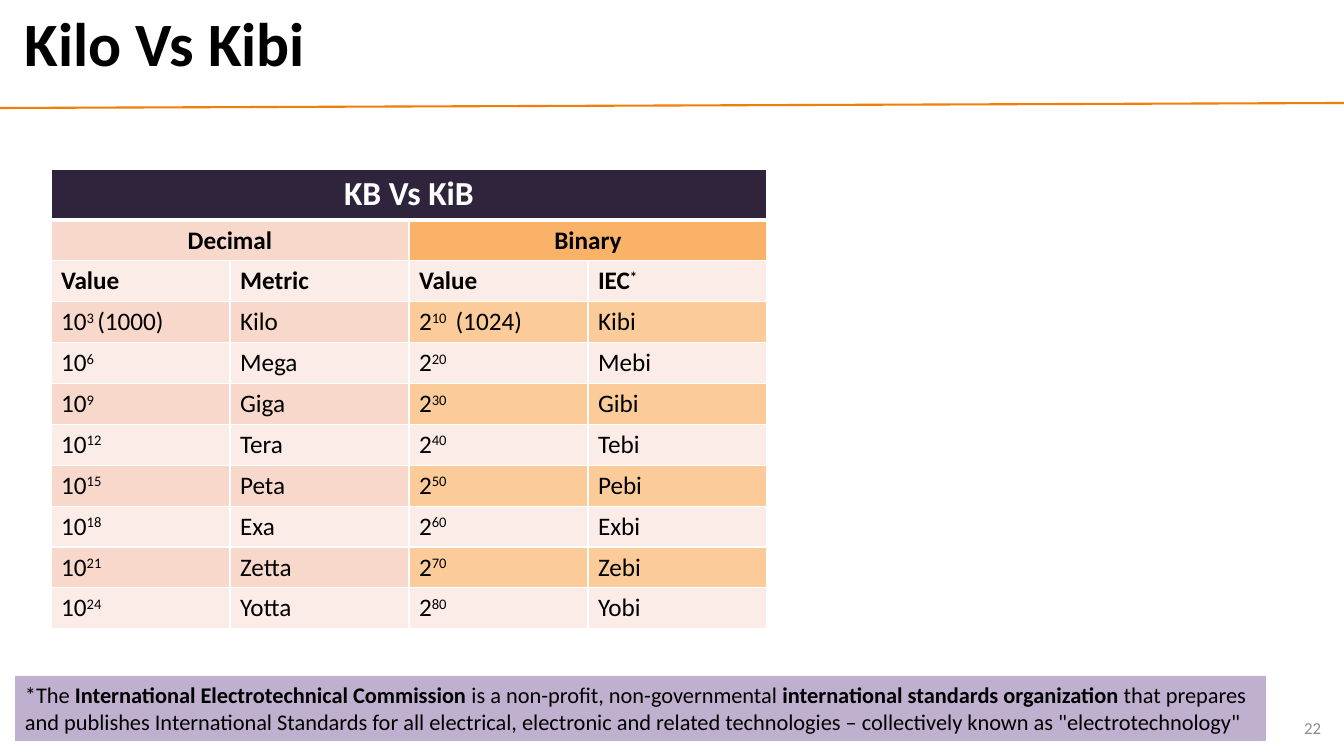
from dataclasses import dataclass

from lxml import etree
from pptx import Presentation
from pptx.dml.color import RGBColor
from pptx.enum.shapes import MSO_CONNECTOR, MSO_SHAPE
from pptx.enum.text import MSO_ANCHOR, PP_ALIGN
from pptx.oxml.ns import qn
from pptx.util import Pt

STRAIGHT = MSO_CONNECTOR.STRAIGHT
RECTANGLE = MSO_SHAPE.RECTANGLE
MIDDLE, TOP = MSO_ANCHOR.MIDDLE, MSO_ANCHOR.TOP
LEFT, CENTER, RIGHT = PP_ALIGN.LEFT, PP_ALIGN.CENTER, PP_ALIGN.RIGHT

EMU_PER_PX = 914400 / 100.8
SLIDE_WIDTH, SLIDE_HEIGHT = 1344, 756


@dataclass(frozen=True)
class Theme:
    font: str = "Calibri"
    black: str = "000000"
    white: str = "FFFFFF"
    grey: str = "8C8C8C"
    rule: str = "F07F09"
    heading_fill: str = "30243C"
    pale: str = "FCECE7"
    decimal: str = "F9D8CC"
    binary: str = "FBCC9A"
    binary_heading: str = "F9B268"
    note_fill: str = "BFB0CF"
    title_size: int = 44
    heading_size: int = 24
    cell_size: int = 18
    note_size: int = 16
    number_size: int = 12


THEME = Theme()

# Power of ten, metric prefix, power of two, IEC prefix
PREFIXES = [
    (3 * step, metric, 10 * step, iec)
    for step, (metric, iec) in enumerate(
        [("Kilo", "Kibi"), ("Mega", "Mebi"), ("Giga", "Gibi"), ("Tera", "Tebi"),
         ("Peta", "Pebi"), ("Exa", "Exbi"), ("Zetta", "Zebi"), ("Yotta", "Yobi")],
        start=1,
    )
]

NOTE_RUNS = [
    ("*The ", False),
    ("International Electrotechnical Commission ", True),
    ("is a non-profit, non-governmental ", False),
    ("international standards organization", True),
    (" that prepares and publishes International Standards for all electrical, "
     "electronic and related technologies – collectively known as "
     "\"electrotechnology\"", False),
]


def px(*lengths):
    return [round(length * EMU_PER_PX) for length in lengths]


def color(value):
    return RGBColor.from_string(value)


def style_paragraph(paragraph, size, ink, bold=None, align=LEFT):
    paragraph.alignment = align
    font = paragraph.font
    font.name, font.size, font.bold = THEME.font, Pt(size), bold
    font.color.rgb = color(ink)


def add_label(slide, box, text, size, ink, bold=False, align=LEFT):
    frame = slide.shapes.add_textbox(*px(*box)).text_frame
    frame.word_wrap = True
    frame.vertical_anchor = MIDDLE
    paragraph = frame.paragraphs[0]
    paragraph.text = text
    paragraph.line_spacing = 0.9
    style_paragraph(paragraph, size, ink, bold, align)


def add_rule(slide, start, end):
    line = slide.shapes.add_connector(STRAIGHT, *px(*start, *end))
    line.line.color.rgb = color(THEME.rule)
    line.line.width = Pt(1.5)
    etree.SubElement(line._element.spPr, qn("a:effectLst"))


def set_borders(cell, top=1, bottom=1):
    """Draw white borders, with widths in points; call before setting the fill."""
    properties = cell._tc.get_or_add_tcPr()
    for side, width in (("L", 1), ("R", 1), ("T", top), ("B", bottom)):
        border = etree.SubElement(properties, qn(f"a:ln{side}"), w=str(Pt(width)))
        fill = etree.SubElement(border, qn("a:solidFill"))
        etree.SubElement(fill, qn("a:srgbClr"), val=THEME.white)


def fill_cell(cell, runs, fill, size=THEME.cell_size, ink=THEME.black,
              bold=False, align=LEFT):
    """Write (text, is_superscript) runs into a cell and colour it."""
    cell.fill.solid()
    cell.fill.fore_color.rgb = color(fill)
    cell.vertical_anchor = TOP
    paragraph = cell.text_frame.paragraphs[0]
    for text, superscript in runs:
        run = paragraph.add_run()
        run.text = text
        if superscript:
            run.font._element.set("baseline", "30000")
    style_paragraph(paragraph, size, ink, bold, align)


def power(base, exponent, plain=""):
    runs = [(base, False), (f"{exponent} " if plain else str(exponent), True)]
    return runs + [(plain, False)] if plain else runs


def add_prefix_table(slide, box, heading_height):
    left, top, width, height = box
    row_count, column_count = len(PREFIXES) + 3, 4
    table = slide.shapes.add_table(row_count, column_count, *px(*box)).table
    table.first_row = table.horz_banding = False
    row_height = (height - heading_height) / (row_count - 1)
    for index, row in enumerate(table.rows):
        row.height = px(row_height if index else heading_height)[0]
        for cell in row.cells:
            set_borders(cell, top=3 if index == 1 else 1, bottom=1 if index else 3)
    for column in table.columns:
        column.width = px(width / column_count)[0]

    table.cell(0, 0).merge(table.cell(0, 3))
    fill_cell(table.cell(0, 0), [("KB Vs KiB", False)], THEME.heading_fill,
              THEME.heading_size, THEME.white, True, CENTER)
    for column, text, fill in ((0, "Decimal", THEME.decimal),
                               (2, "Binary", THEME.binary_heading)):
        table.cell(1, column).merge(table.cell(1, column + 1))
        fill_cell(table.cell(1, column), [(text, False)], fill, bold=True, align=CENTER)

    names = ([("Value", False)], [("Metric", False)], [("Value", False)],
             [("IEC", False), ("*", True)])
    for column, runs in enumerate(names):
        fill_cell(table.cell(2, column), runs, THEME.pale, bold=True)

    for index, (ten, metric, two, iec) in enumerate(PREFIXES):
        first = index == 0
        contents = (power("10", ten, "(1000)" if first else ""), [(metric, False)],
                    power("2", two, " (1024)" if first else ""), [(iec, False)])
        for column, runs in enumerate(contents):
            band = THEME.decimal if column < 2 else THEME.binary
            fill_cell(table.cell(index + 3, column), runs,
                      THEME.pale if index % 2 else band)


def add_note(slide, box):
    note = slide.shapes.add_shape(RECTANGLE, *px(*box))
    note.shadow.inherit = False
    note.fill.solid()
    note.fill.fore_color.rgb = color(THEME.note_fill)
    note.line.fill.background()
    frame = note.text_frame
    frame.word_wrap = True
    frame.vertical_anchor = TOP
    paragraph = frame.paragraphs[0]
    for text, bold in NOTE_RUNS:
        run = paragraph.add_run()
        run.text, run.font.bold = text, bold
    style_paragraph(paragraph, THEME.note_size, THEME.black)


def build_slide(presentation):
    slide = presentation.slides.add_slide(presentation.slide_layouts[6])
    add_rule(slide, (0, 108), (SLIDE_WIDTH, 103))
    add_label(slide, (15, 5, 1299, 84), "Kilo Vs Kibi", THEME.title_size,
              THEME.black, bold=True)
    add_label(slide, (1029, 709, 302, 40), "22", THEME.number_size,
              THEME.grey, align=RIGHT)
    add_prefix_table(slide, (51, 169, 716, 460), heading_height=51)
    add_note(slide, (15, 676, 1251, 65))


def main():
    presentation = Presentation()
    presentation.slide_width, presentation.slide_height = px(SLIDE_WIDTH, SLIDE_HEIGHT)
    build_slide(presentation)
    presentation.save("out.pptx")


if __name__ == "__main__":
    main()
